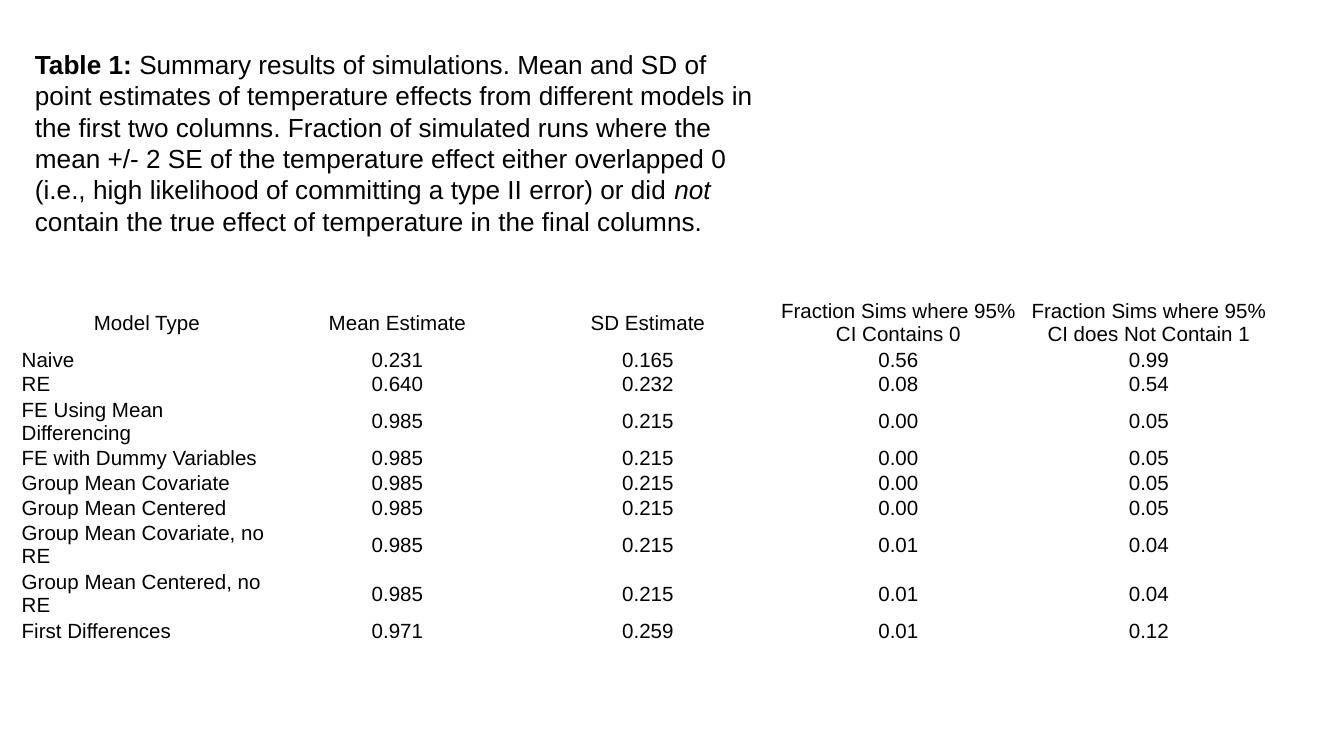
from pptx import Presentation
from pptx.dml.color import RGBColor
from pptx.enum.text import MSO_ANCHOR, MSO_AUTO_SIZE, PP_ALIGN
from pptx.util import Cm, Pt

LEFT, CENTER = PP_ALIGN.LEFT, PP_ALIGN.CENTER
TOP, MIDDLE = MSO_ANCHOR.TOP, MSO_ANCHOR.MIDDLE
NO_AUTOFIT = MSO_AUTO_SIZE.NONE
BLACK = RGBColor(0, 0, 0)
TITLE_ONLY_LAYOUT = 5

CAPTION = [
    ("Table 1: ", {"bold": True}),
    ("Summary results of simulations. Mean and SD of point estimates of "
     "temperature effects from different models in the first two columns. "
     "Fraction of simulated runs where the mean +/- 2 SE of the temperature "
     "effect either overlapped 0 (i.e., high likelihood of committing a "
     "type II error) or did ", {}),
    ("not", {"italic": True}),
    (" contain the true effect of temperature in the final columns.", {}),
]
RESULTS = [
    ("Model Type", "Mean Estimate", "SD Estimate",
     "Fraction Sims where 95% CI Contains 0",
     "Fraction Sims where 95% CI does Not Contain 1"),
    ("Naive", "0.231", "0.165", "0.56", "0.99"),
    ("RE", "0.640", "0.232", "0.08", "0.54"),
    ("FE Using Mean Differencing", "0.985", "0.215", "0.00", "0.05"),
    ("FE with Dummy Variables", "0.985", "0.215", "0.00", "0.05"),
    ("Group Mean Covariate", "0.985", "0.215", "0.00", "0.05"),
    ("Group Mean Centered", "0.985", "0.215", "0.00", "0.05"),
    ("Group Mean Covariate, no RE", "0.985", "0.215", "0.01", "0.04"),
    ("Group Mean Centered, no RE", "0.985", "0.215", "0.01", "0.04"),
    ("First Differences", "0.971", "0.259", "0.01", "0.12"),
]
ROW_LINES = [2, 1, 1, 2, 1, 1, 1, 2, 2, 1]


def apply_format(target, values):
    for name, value in values.items():
        setattr(target, name, value)


class SlideBuilder:
    """Hold the text style and the current slide, and add its elements."""

    font_name = "Arial"
    color = BLACK

    def __init__(self, slide):
        self.slide = slide

    def add_run(self, paragraph, text, size, **emphasis):
        run = paragraph.add_run()
        run.text = text
        style = {"name": self.font_name, "size": Pt(size),
                 "bold": False, "italic": False}
        apply_format(run.font, style | emphasis)
        run.font.color.rgb = self.color

    def add_caption(self, runs, left, top, width, height):
        shape = self.slide.shapes.title
        apply_format(shape, {"left": left, "top": top,
                             "width": width, "height": height})
        inset = Cm(0.25)
        apply_format(shape.text_frame, {
            "word_wrap": True, "auto_size": NO_AUTOFIT, "vertical_anchor": TOP,
            "margin_left": inset, "margin_right": inset,
            "margin_top": inset, "margin_bottom": inset})
        paragraph = shape.text_frame.paragraphs[0]
        paragraph.alignment = LEFT
        for text, emphasis in runs:
            self.add_run(paragraph, text, 14, **emphasis)

    def add_results_table(self, rows, row_lines, left, top, width, height):
        shape = self.slide.shapes.add_table(
            len(rows), len(rows[0]), left, top, width, height)
        table = shape.table
        apply_format(table, {"first_row": False, "horz_banding": False})
        for row, lines in zip(table.rows, row_lines):
            row.height = height * lines // sum(row_lines)
        for row_index, values in enumerate(rows):
            for column_index, text in enumerate(values):
                is_label = row_index > 0 and column_index == 0
                self.fill_cell(table.cell(row_index, column_index), text,
                               LEFT if is_label else CENTER)

    def fill_cell(self, cell, text, alignment):
        cell.fill.background()
        apply_format(cell, {"vertical_anchor": MIDDLE,
                            "margin_left": 0, "margin_right": 0,
                            "margin_top": 0, "margin_bottom": 0})
        paragraph = cell.text_frame.paragraphs[0]
        apply_format(paragraph, {"alignment": alignment,
                                 "space_before": Pt(5), "space_after": Pt(5)})
        self.add_run(paragraph, text, 11)


def main():
    presentation = Presentation()
    apply_format(presentation, {"slide_width": Cm(25.4),
                                "slide_height": Cm(14.29)})
    layout = presentation.slide_layouts[TITLE_ONLY_LAYOUT]
    builder = SlideBuilder(presentation.slides.add_slide(layout))
    builder.add_caption(CAPTION, Cm(0.41), Cm(0.66), Cm(14.25), Cm(5.31))
    builder.add_results_table(RESULTS, ROW_LINES,
                              Cm(0.41), Cm(5.64), Cm(23.67), Cm(6.53))
    presentation.save("out.pptx")


if __name__ == "__main__":
    main()
